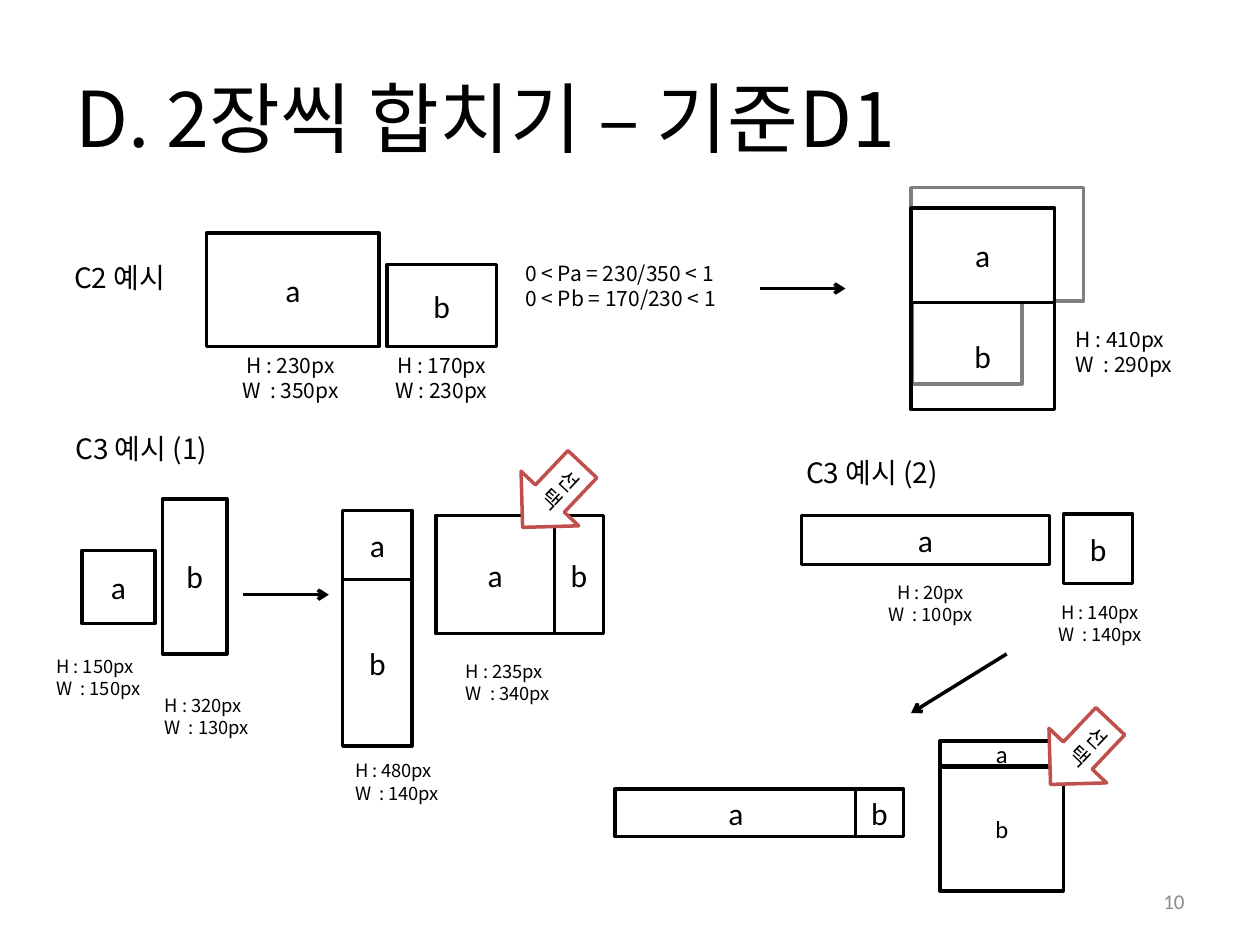
from lxml import etree
from pptx import Presentation
from pptx.dml.color import RGBColor
from pptx.enum.shapes import MSO_CONNECTOR, MSO_SHAPE
from pptx.enum.text import MSO_ANCHOR, PP_ALIGN
from pptx.oxml.ns import qn
from pptx.util import Inches, Pt

RECTANGLE, DOWN_ARROW = MSO_SHAPE.RECTANGLE, MSO_SHAPE.DOWN_ARROW
STRAIGHT = MSO_CONNECTOR.STRAIGHT
LEFT, CENTER, RIGHT = PP_ALIGN.LEFT, PP_ALIGN.CENTER, PP_ALIGN.RIGHT
TOP, MIDDLE = MSO_ANCHOR.TOP, MSO_ANCHOR.MIDDLE

COLORS = {"ink": "000000", "paper": "FFFFFF", "ghost": "7F7F7F",
          "choice": "C0504D", "number": "8C8C8C"}
KOREAN, LATIN = "Noto Sans CJK KR", "Calibri"

TITLE = "D. 2장씩 합치기 – 기준D1"
PAGE_NUMBER = "10"
HEADINGS = [
    ("C2 예시", 0.49, 2.02, 0.94),
    ("C3 예시 (1)", 0.5, 3.38, 1.43),
    ("C3 예시 (2)", 6.3, 3.57, 1.43),
]
RATIOS = "0 < Pa = 230/350 < 1\n0 < Pb = 170/230 < 1"
GHOSTS = [(7.23, 1.49, 1.37, 0.9), (7.24, 2.4, 0.87, 0.65)]
PAIRS = [
    (18, (1.64, 1.85, 1.37, 0.9), (3.07, 2.1, 0.87, 0.65)),
    (18, (7.23, 1.65, 1.14, 0.75), (7.23, 2.4, 1.14, 0.85)),
    (18, (0.65, 4.37, 0.58, 0.58), (1.29, 3.96, 0.51, 1.23)),
    (18, (2.72, 4.05, 0.55, 0.55), (2.72, 4.6, 0.55, 1.32)),
    (18, (3.46, 4.09, 0.94, 0.94), (4.4, 4.09, 0.39, 0.94)),
    (18, (6.36, 4.09, 1.97, 0.39), (8.44, 4.08, 0.55, 0.55)),
    (18, (4.88, 6.26, 1.92, 0.38), (6.79, 6.26, 0.38, 0.38)),
    (14, (7.46, 5.88, 0.98, 0.2), (7.46, 6.09, 0.98, 0.98)),
]
SEE_THROUGH = (7.23, 2.4, 1.14, 0.85)
DIMENSIONS = [
    ("H : 230px\nW  : 350px", 1.6, 2.75, 1.41, 12, CENTER),
    ("H : 170px\nW : 230px", 2.94, 2.75, 1.13, 12, CENTER),
    ("H : 410px\nW  : 290px", 8.44, 2.54, 1.41, 12, LEFT),
    ("H : 150px\nW  : 150px", 0.35, 5.15, 0.94, 10.5, LEFT),
    ("H : 320px\nW  : 130px", 1.21, 5.46, 0.94, 10.5, LEFT),
    ("H : 480px\nW  : 140px", 2.72, 5.98, 0.94, 10.5, LEFT),
    ("H : 235px\nW  : 340px", 3.6, 5.19, 0.94, 10.5, LEFT),
    ("H : 20px\nW  : 100px", 6.76, 4.56, 1.25, 10.5, CENTER),
    ("H : 140px\nW  : 140px", 8.26, 4.72, 0.94, 10.5, CENTER),
]
STEPS = [
    ((6.03, 2.29), (6.71, 2.29)),
    ((1.93, 4.72), (2.61, 4.72)),
    ((7.99, 5.19), (7.23, 5.66)),
]
CHOICE = "선택"
CHOICE_SPOTS = [(4.07, 3.59), (8.26, 5.63)]

deck = Presentation()
deck.slide_width, deck.slide_height = Inches(10), Inches(7.5)
slide = deck.slides.add_slide(deck.slide_layouts[6])


def color(name):
    return RGBColor.from_string(COLORS[name])


def write(frame, text, size, font, align=LEFT, anchor=TOP, ink="ink"):
    frame.text = text
    frame.vertical_anchor = anchor
    for paragraph in frame.paragraphs:
        paragraph.alignment = align
        for run in paragraph.runs:
            run.font.size = Pt(size)
            run.font.name = font
            run.font.color.rgb = color(ink)
            east_asian = etree.SubElement(run.font._element, qn("a:ea"))
            east_asian.set("typeface", KOREAN)


def add_text(text, box, size, font=KOREAN, wrap=True, **style):
    frame = slide.shapes.add_textbox(*map(Inches, box)).text_frame
    frame.word_wrap = wrap
    write(frame, text, size, font, **style)


def add_outline(kind, box, line, filled=True):
    shape = slide.shapes.add_shape(kind, *map(Inches, box))
    shape.shadow.inherit = False
    if filled:
        shape.fill.solid()
        shape.fill.fore_color.rgb = color("paper")
    else:
        shape.fill.background()
    shape.line.color.rgb = color(line)
    shape.line.width = Pt(2)
    return shape


def add_step(start, end):
    step = slide.shapes.add_connector(STRAIGHT, *map(Inches, start + end))
    step.line.color.rgb = color("ink")
    step.line.width = Pt(2)
    etree.SubElement(step.line._get_or_add_ln(), qn("a:tailEnd")).set("type", "arrow")
    etree.SubElement(step._element.spPr, qn("a:effectLst"))


add_text(TITLE, (0.5, 0.3, 9, 1.25), 44, anchor=MIDDLE)
add_text(PAGE_NUMBER, (7.17, 6.95, 2.33, 0.4), 12, LATIN,
         align=RIGHT, anchor=MIDDLE, ink="number")

for ghost in GHOSTS:
    add_outline(RECTANGLE, ghost, "ghost")
for size, *boxes in PAIRS:
    for letter, box in zip("ab", boxes):
        card = add_outline(RECTANGLE, box, "ink", filled=box != SEE_THROUGH)
        write(card.text_frame, letter, size, LATIN, CENTER, MIDDLE)

for heading, left, top, width in HEADINGS:
    add_text(heading, (left, top, width, 0.37), 16)
add_text(RATIOS, (4.07, 2.02, 1.73, 0.5), 12, wrap=False)
for label, left, top, width, size, align in DIMENSIONS:
    height = 0.5 if size == 12 else 0.47
    add_text(label, (left, top, width, height), size, align=align)

for start, end in STEPS:
    add_step(start, end)
for left, top in CHOICE_SPOTS:
    choice = add_outline(DOWN_ARROW, (left, top, 0.63, 0.69), "choice")
    choice.rotation = 43.4
    write(choice.text_frame, CHOICE, 12, LATIN, anchor=MIDDLE)

deck.save("out.pptx")
